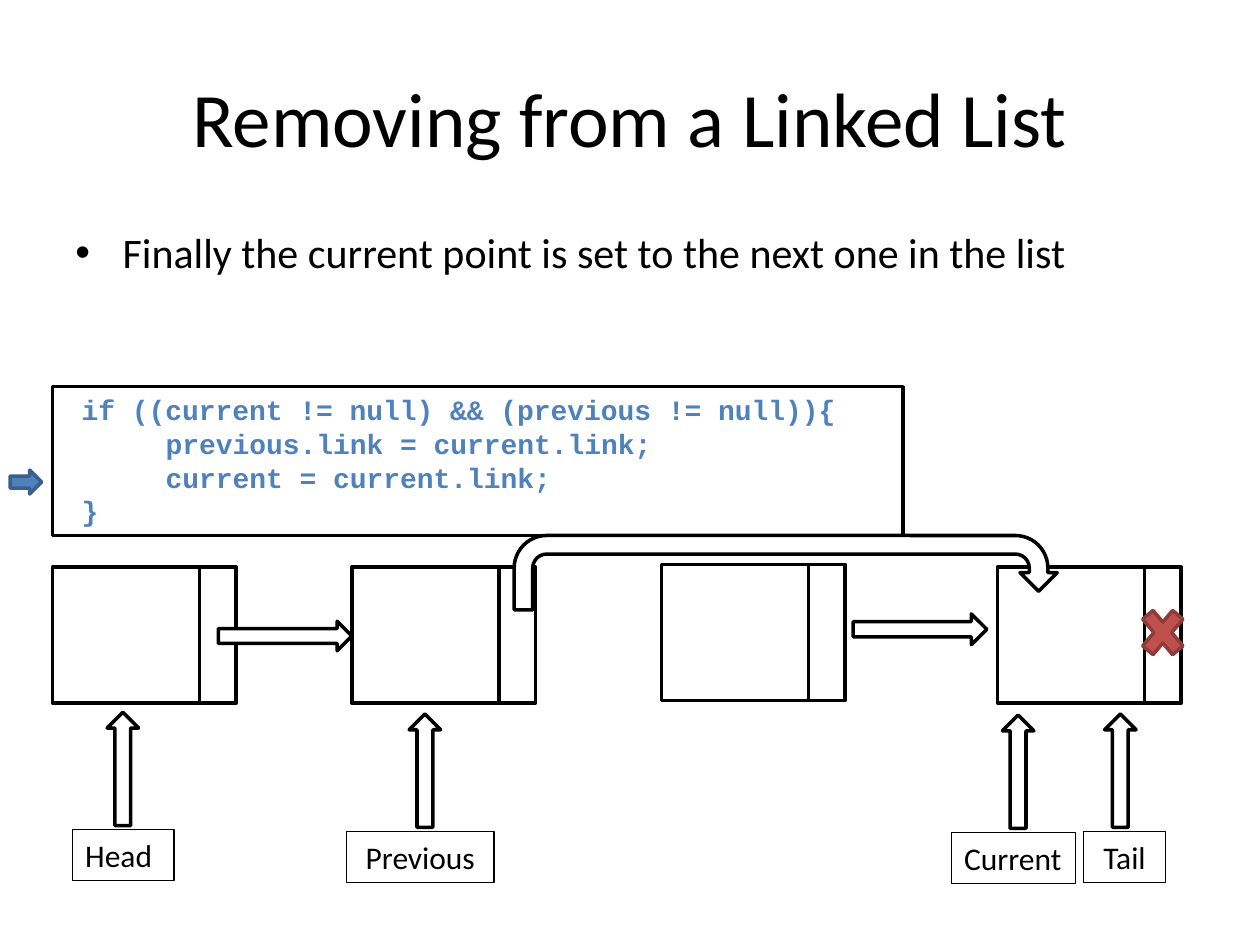
from typing import NamedTuple, Optional

from lxml import etree
from pptx import Presentation
from pptx.dml.color import RGBColor
from pptx.enum import shapes, text
from pptx.oxml import ns
from pptx.util import Pt

BLACK, WHITE, BLUE, RED = "000000", "FFFFFF", "4F81BD", "C0504D"
DARK_BLUE, DARK_RED = "3A5F8C", "8E3B39"
LEFT, CENTER = text.PP_ALIGN.LEFT, text.PP_ALIGN.CENTER
MSO = shapes.MSO_SHAPE

VALUE_WIDTH, LINK_WIDTH, NODE_HEIGHT = 84, 21, 77.8
POINTER_LENGTH, POINTER_THICKNESS = 64.8, 18
LINK_ARROW_WIDTH = 76.3
CODE_CHAR_WIDTH = 9.6


class Box(NamedTuple):
    left: float
    top: float
    width: float
    height: float


class Node(NamedTuple):
    left: float
    top: float


class Pointer(NamedTuple):
    label: str
    box: Box
    arrow_center: float
    arrow_top: float
    align: text.PP_ALIGN


class CodeLine(NamedTuple):
    words: str
    indent: int


NODES = [Node(30, 324), Node(201, 324), Node(378, 322.5), Node(570, 324)]
POINTERS = [
    Pointer("Head", Box(41.6, 474, 57.8, 29), 70.2, 407, LEFT),
    Pointer("Previous", Box(198, 475.2, 84.4, 29), 242.8, 408, CENTER),
    Pointer("Current", Box(543.8, 475.8, 70.6, 29), 581.8, 408.6, LEFT),
    Pointer("Tail", Box(619.2, 475.2, 46.8, 29), 640.2, 408, CENTER),
]
LINK_ARROWS = [Box(124.8, 355, LINK_ARROW_WIDTH, 16.9),
               Box(487.6, 350.8, LINK_ARROW_WIDTH, 17.6)]
CODE = [
    CodeLine("if ((current != null) && (previous != null)){", 1),
    CodeLine("previous.link = current.link;", 6),
    CodeLine("current = current.link;", 6),
    CodeLine("}", 1),
]


def rgb(color: str) -> RGBColor:
    return RGBColor.from_string(color)


def points(box: Box) -> list[Pt]:
    return [Pt(length) for length in box]


def add_outlined(slide, kind: MSO, box: Box, fill: str = WHITE, line: str = BLACK):
    shape = slide.shapes.add_shape(kind, *points(box))
    shape.shadow.inherit = False
    shape.fill.solid()
    shape.fill.fore_color.rgb = rgb(fill)
    shape.line.color.rgb = rgb(line)
    shape.line.width = Pt(2)
    return shape


def style(paragraph, size: float, font: str = "Calibri", color: str = BLACK,
          bold: Optional[bool] = None, align: text.PP_ALIGN = LEFT) -> None:
    paragraph.alignment = align
    paragraph.font.name = font
    paragraph.font.size = Pt(size)
    paragraph.font.color.rgb = rgb(color)
    paragraph.font.bold = bold


def add_text(slide, box: Box, words: str, size: float, align: text.PP_ALIGN = LEFT):
    textbox = slide.shapes.add_textbox(*points(box))
    textbox.text_frame.word_wrap = True
    paragraph = textbox.text_frame.paragraphs[0]
    paragraph.text = words
    style(paragraph, size, align=align)
    return textbox


def set_indent(paragraph, margin: float, first: float = 0) -> None:
    properties = paragraph._p.get_or_add_pPr()
    properties.set("marL", str(Pt(margin)))
    properties.set("indent", str(Pt(first)))


def add_bullet(paragraph) -> None:
    set_indent(paragraph, 27, -27)
    properties = paragraph._p.get_or_add_pPr()
    font = etree.Element(ns.qn("a:buFont"), typeface="Arial")
    bullet = etree.Element(ns.qn("a:buChar"), char="•")
    defaults = properties.find(ns.qn("a:defRPr"))
    defaults.addprevious(font)
    defaults.addprevious(bullet)


def add_heading(slide) -> None:
    title = add_text(slide, Box(36, 21.6, 648, 90), "Removing from a Linked List", 44, CENTER)
    title.text_frame.vertical_anchor = text.MSO_ANCHOR.MIDDLE
    body = add_text(slide, Box(36, 126, 648, 356.4),
                    "Finally the current point is set to the next one in the list", 24)
    paragraph = body.text_frame.paragraphs[0]
    paragraph.space_before = Pt(4.8)
    add_bullet(paragraph)


def add_node(slide, node: Node) -> None:
    """Draw the value cell and the narrow link cell of a list node."""
    add_outlined(slide, MSO.RECTANGLE, Box(node.left, node.top, VALUE_WIDTH, NODE_HEIGHT))
    add_outlined(slide, MSO.RECTANGLE,
                 Box(node.left + VALUE_WIDTH, node.top, LINK_WIDTH, NODE_HEIGHT))


def add_pointer(slide, pointer: Pointer) -> None:
    """Draw a label and the upward arrow from it to a node."""
    label = add_text(slide, pointer.box, pointer.label, 18, pointer.align)
    label.line.color.rgb = rgb(BLACK)
    label.line.width = Pt(0.75)
    if pointer.align == LEFT:
        label.text_frame.margin_right = 0
    middle = pointer.arrow_top + POINTER_LENGTH / 2
    arrow = add_outlined(slide, MSO.RIGHT_ARROW, Box(
        pointer.arrow_center - POINTER_LENGTH / 2, middle - POINTER_THICKNESS / 2,
        POINTER_LENGTH, POINTER_THICKNESS))
    arrow.rotation = 270


def add_code(slide) -> None:
    panel = add_outlined(slide, MSO.RECTANGLE, Box(30, 221, 486, 85))
    frame = panel.text_frame
    frame.word_wrap = True
    frame.vertical_anchor = text.MSO_ANCHOR.TOP
    for index, line in enumerate(CODE):
        paragraph = frame.add_paragraph() if index else frame.paragraphs[0]
        paragraph.text = line.words
        style(paragraph, 16, "Courier New", BLUE, bold=True)
        set_indent(paragraph, line.indent * CODE_CHAR_WIDTH)


def main() -> None:
    deck = Presentation()
    deck.slide_width, deck.slide_height = Pt(720), Pt(540)
    slide = deck.slides.add_slide(deck.slide_layouts[6])
    add_heading(slide)
    for node in NODES:
        add_node(slide, node)
    for box in LINK_ARROWS:
        add_outlined(slide, MSO.RIGHT_ARROW, box)
    for pointer in POINTERS:
        add_pointer(slide, pointer)
    add_outlined(slide, MSO.MATH_MULTIPLY, Box(648, 342, 33, 39), RED, DARK_RED)
    add_code(slide)
    add_outlined(slide, MSO.RIGHT_ARROW, Box(5.8, 268.6, 18, 13.7), BLUE, DARK_BLUE)
    add_outlined(slide, MSO.U_TURN_ARROW, Box(293.8, 306, 310.3, 42.5))
    deck.save("out.pptx")


if __name__ == "__main__":
    main()
